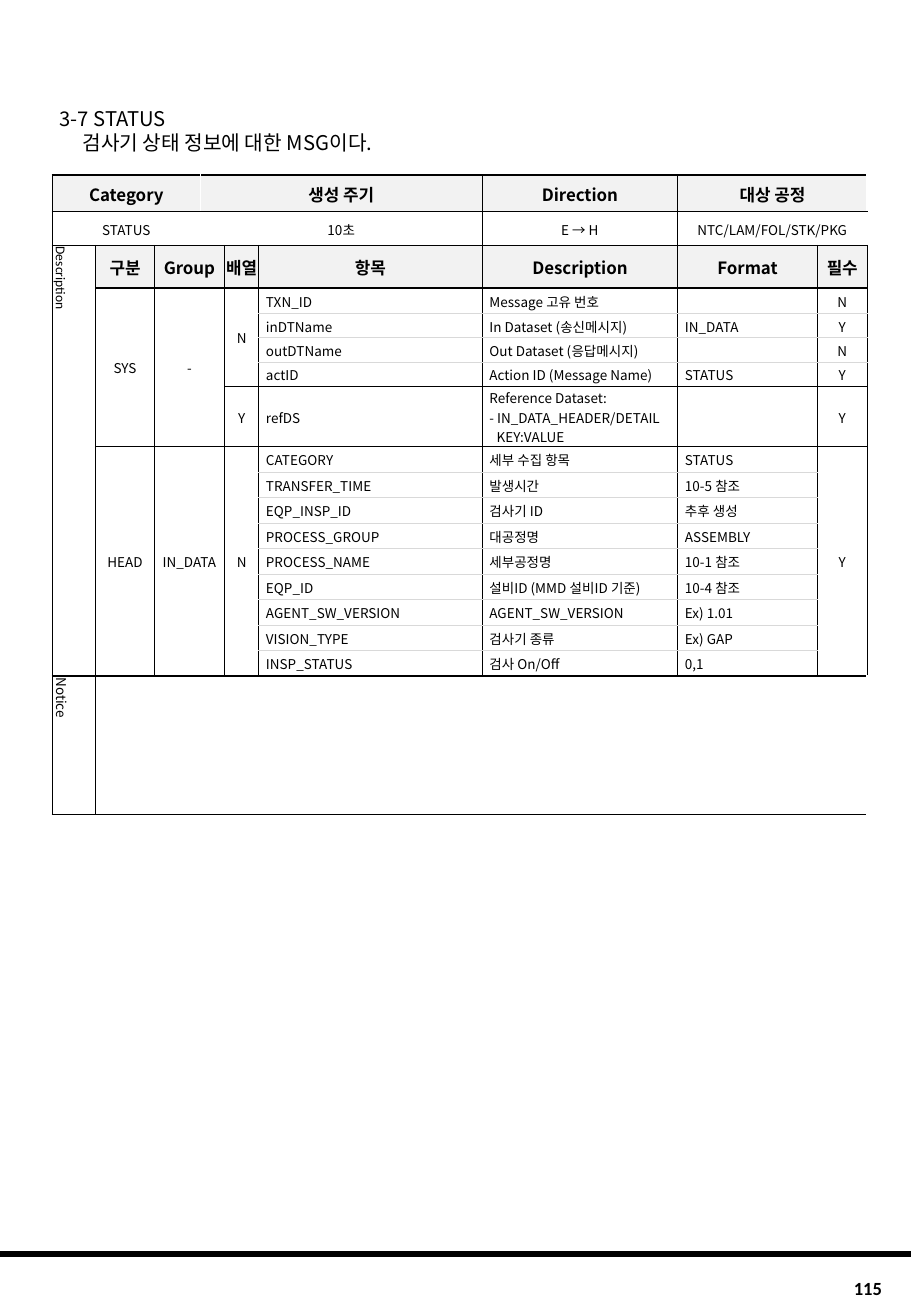
from dataclasses import dataclass

from lxml.etree import SubElement
from pptx import Presentation
from pptx.dml.color import RGBColor
from pptx.enum.shapes import MSO_CONNECTOR as Link
from pptx.enum.text import MSO_ANCHOR as Anchor, PP_ALIGN as Align
from pptx.oxml.ns import qn
from pptx.table import Table, _Cell as Cell
from pptx.util import Inches, Pt


@dataclass(frozen=True)
class Theme:
    black: str = "000000"
    grey: str = "D9D9D9"
    band: str = "F2F2F2"
    white: str = "FFFFFF"
    main: str = "Noto Sans CJK KR"
    side: str = "Calibri"
    title: int = 12
    page: int = 11
    head: int = 10
    body: int = 8


@dataclass(frozen=True)
class Item:
    """One table cell, with its span in rows (high) and columns (wide)."""
    row: int
    col: int
    text: str
    high: int = 1
    wide: int = 1
    head: bool = False
    left: bool = False
    turn: bool = False
    font: str = ""
    fill: str = ""


THEME = Theme()
COLS = [0.36, 0.48, 0.38, 0.2, 0.28, 1.84, 1.61, 1.15, 0.41]
ROWS = [0.3, 0.28, 0.35, 0.21, 0.2, 0.2, 0.2, 0.49] + [0.21] * 9 + [1.14]
SYS, REF, HEAD, NOTE = 3, 7, 8, 17
ITEM, NEED = 5, 8

TOP = [(0, 3), (3, 3), (6, 1), (7, 2)]
TOP_ROWS = [
    ["Category", "생성 주기", "Direction", "대상 공정"],
    ["STATUS", "10초", "E → H", "NTC/LAM/FOL/STK/PKG"],
]
NAMES = [(1, 1, "구분"), (2, 2, "Group"), (4, 1, "배열"), (5, 1, "항목"),
         (6, 1, "Description"), (7, 1, "Format"), (8, 1, "필수")]
FIELDS = [
    ("TXN_ID", "Message 고유 번호", "", "N"),
    ("inDTName", "In Dataset (송신메시지)", "IN_DATA", "Y"),
    ("outDTName", "Out Dataset (응답메시지)", "", "N"),
    ("actID", "Action ID (Message Name)", "STATUS", "Y"),
    ("refDS", "Reference Dataset:\v- IN_DATA_HEADER/DETAIL\nKEY:VALUE", "", "Y"),
    ("CATEGORY", "세부 수집 항목", "STATUS"),
    ("TRANSFER_TIME", "발생시간", "10-5 참조"),
    ("EQP_INSP_ID", "검사기 ID", "추후 생성"),
    ("PROCESS_GROUP", "대공정명", "ASSEMBLY"),
    ("PROCESS_NAME", "세부공정명", "10-1 참조"),
    ("EQP_ID", "설비ID (MMD 설비ID 기준)", "10-4 참조"),
    ("AGENT_SW_VERSION", "AGENT_SW_VERSION", "Ex) 1.01"),
    ("VISION_TYPE", "검사기 종류", "Ex) GAP"),
    ("INSP_STATUS", "검사 On/Off", "0,1"),
]


def items() -> list[Item]:
    out = [Item(row, col, text, wide=wide, head=row == 0)
           for row, texts in enumerate(TOP_ROWS)
           for (col, wide), text in zip(TOP, texts)]
    out += [Item(2, col, text, wide=wide, head=True) for col, wide, text in NAMES]
    out += [Item(row, col, text, left=col < NEED)
            for row, texts in enumerate(FIELDS, SYS)
            for col, text in enumerate(texts, ITEM)]
    return out + [
        Item(2, 0, "Description", high=15, left=True, turn=True, font=THEME.side),
        Item(SYS, 1, "SYS", high=5),
        Item(SYS, 2, "-", high=5, wide=2),
        Item(SYS, 4, "N", high=4),
        Item(REF, 4, "Y"),
        Item(HEAD, 1, "HEAD", high=9),
        Item(HEAD, 2, "IN_DATA", high=9, wide=2),
        Item(HEAD, 4, "N", high=9),
        Item(HEAD, NEED, "Y", high=9),
        Item(NOTE, 0, "Notice", left=True, turn=True),
        Item(NOTE, 1, "", wide=8, fill=THEME.white),
    ]


def style(para, size: int, face: str = THEME.main, bold: bool = False) -> None:
    font = para.font
    font.size, font.bold = Pt(size), bold
    font.color.rgb = RGBColor.from_string(THEME.black)
    font.name = face
    SubElement(font._element, qn("a:ea"), typeface=face)


def indent(para, inch: float) -> None:
    para._p.get_or_add_pPr().set("marL", str(Inches(inch)))


def edge(row: int, col: int) -> tuple[str, float]:
    """Colour and width of the rule above a row."""
    inner = SYS < row < REF or HEAD < row < NOTE
    if inner and col >= ITEM and not (col == NEED and row > HEAD):
        return THEME.grey, 0.75
    return THEME.black, 1 if row in (REF, NOTE, NOTE + 1) else 0.75


def rule(cell: Cell, side: str, color: str, width: float) -> None:
    line = SubElement(cell._tc.get_or_add_tcPr(), qn(f"a:ln{side}"), w=str(Pt(width)))
    fill = SubElement(line, qn("a:solidFill"))
    SubElement(fill, qn("a:srgbClr"), val=color)


def border(grid: Table, item: Item) -> None:
    """Rule only the outer sides of a cell or merged block."""
    end, last = item.row + item.high, item.col + item.wide
    for row in range(item.row, end):
        for col in range(item.col, last):
            cell = grid.cell(row, col)
            if col == item.col:
                rule(cell, "L", THEME.black, 0.75)
            if col == last - 1:
                rule(cell, "R", THEME.black, 0.75)
            if row == item.row:
                rule(cell, "T", *edge(row, item.col))
            if row == end - 1:
                rule(cell, "B", *edge(end, item.col))


def put(grid: Table, item: Item) -> None:
    cell = grid.cell(item.row, item.col)
    if item.high * item.wide > 1:
        cell.merge(grid.cell(item.row + item.high - 1, item.col + item.wide - 1))
    border(grid, item)
    fill = THEME.band if item.head else item.fill
    if fill:
        cell.fill.solid()
        cell.fill.fore_color.rgb = RGBColor.from_string(fill)
    else:
        cell.fill.background()
    detail = item.col >= ITEM and item.row >= SYS
    cell.margin_left = Inches(0.06 if detail and item.left else 0.01)
    cell.margin_top = cell.margin_right = Inches(0.01)
    cell.margin_bottom = 0
    cell.vertical_anchor = Anchor.MIDDLE
    if item.turn:
        cell._tc.tcPr.set("vert", "vert")
    cell.text_frame.text = item.text
    for index, para in enumerate(cell.text_frame.paragraphs):
        para.alignment = Align.LEFT if item.left else Align.CENTER
        size = THEME.head if item.head else THEME.body
        style(para, size, item.font or THEME.main, item.head)
        if index:
            indent(para, 0.06)
        if not item.text:
            SubElement(para._p, qn("a:endParaRPr"), sz=str(size * 100))


def main() -> None:
    deck = Presentation()
    deck.slide_width, deck.slide_height = Inches(7.5), Inches(10.83)
    slide = deck.slides.add_slide(deck.slide_layouts[5])
    shapes = slide.shapes

    foot = shapes.add_connector(Link.STRAIGHT, 0, Inches(10.32), Inches(7.5), Inches(10.32))
    foot.line.color.rgb = RGBColor.from_string(THEME.black)
    foot.line.width = Pt(3)
    SubElement(foot._element.spPr, qn("a:effectLst"))

    frame = shapes.add_table(len(ROWS), len(COLS), Inches(0.43), Inches(1.44),
                             Inches(sum(COLS)), Inches(sum(ROWS)))
    grid = frame.table
    grid.first_row = grid.horz_banding = False
    for col, width in zip(grid.columns, COLS):
        col.width = Inches(width)
    for row, height in zip(grid.rows, ROWS):
        row.height = Inches(height)
    for item in items():
        put(grid, item)

    page = shapes.add_textbox(Inches(6.18), Inches(10.46), Inches(1.18), Inches(0.28)).text_frame
    page.word_wrap = True
    page.vertical_anchor = Anchor.MIDDLE
    page.text = "115"
    page.paragraphs[0].alignment = Align.RIGHT
    style(page.paragraphs[0], THEME.page, THEME.side, True)

    title = shapes.title
    title.left, title.top = Inches(0.45), Inches(0.88)
    title.width, title.height = Inches(6.69), Inches(0.4)
    text = title.text_frame
    text.margin_left = text.margin_top = text.margin_right = text.margin_bottom = 0
    text.vertical_anchor = Anchor.TOP
    text.word_wrap = True
    text.text = "3-7 STATUS\n검사기 상태 정보에 대한 MSG이다."
    for para, inch in zip(text.paragraphs, (0.04, 0.23)):
        para.alignment = Align.LEFT
        para.line_spacing = Pt(14.2)
        style(para, THEME.title)
        indent(para, inch)

    deck.save("out.pptx")


if __name__ == "__main__":
    main()
